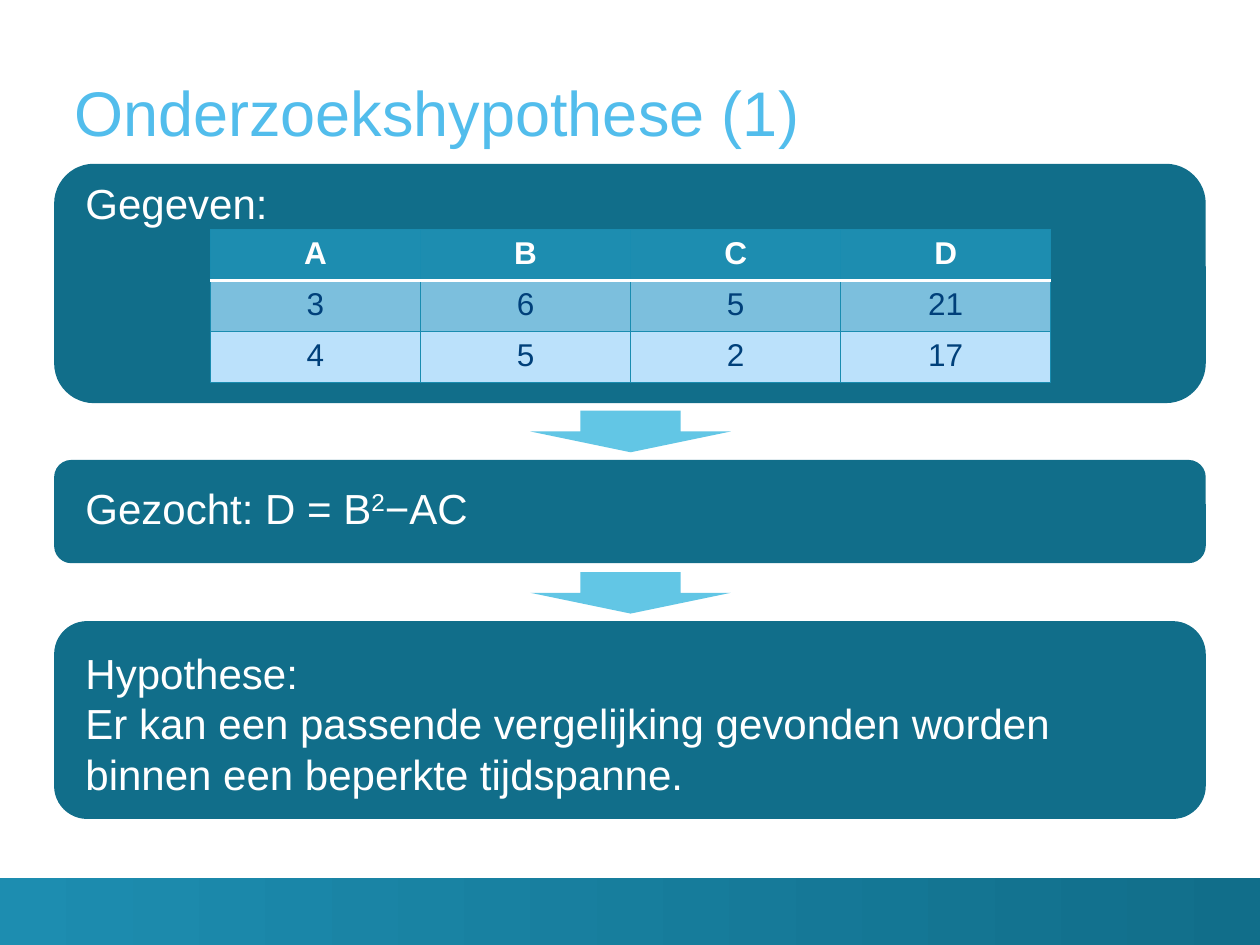
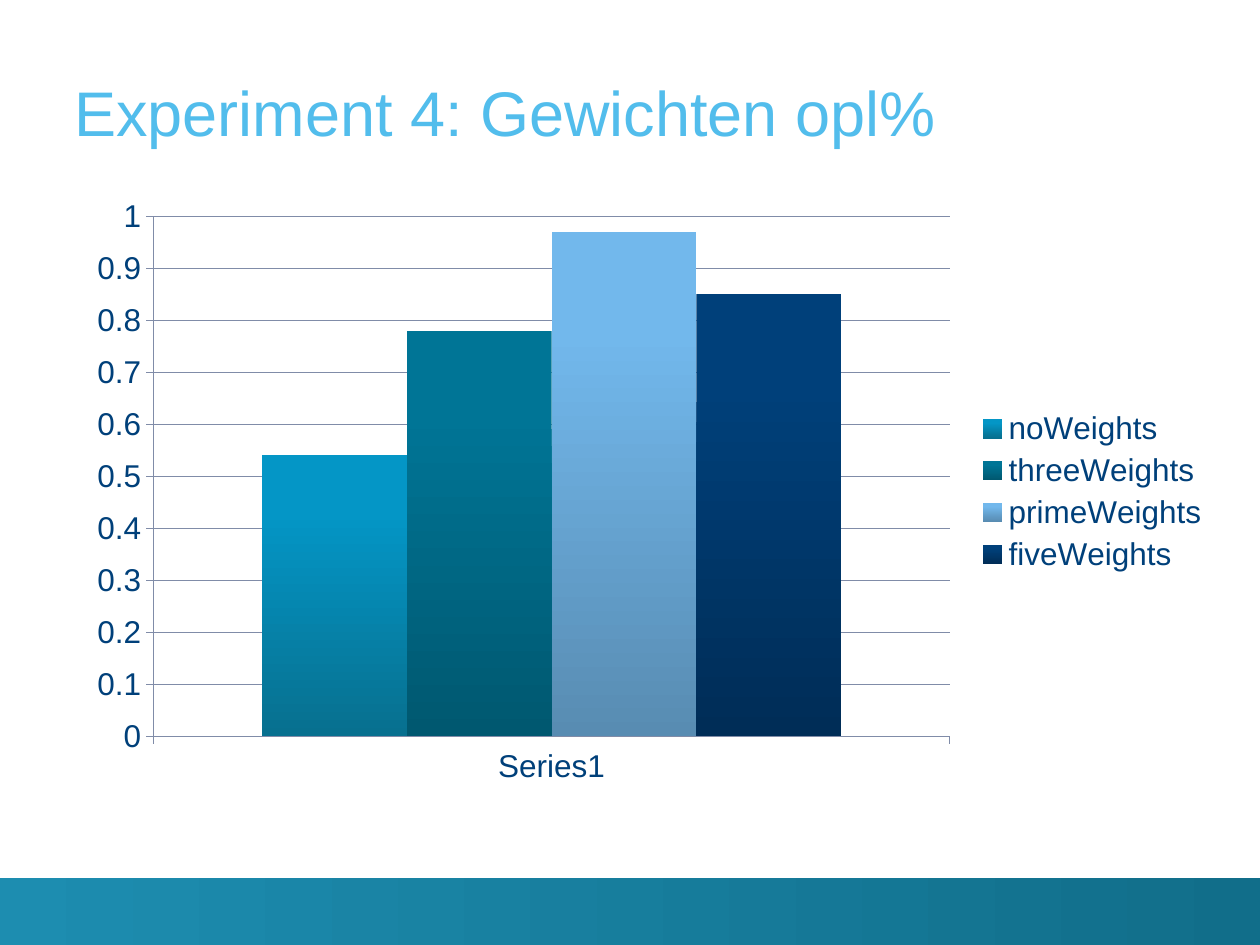
from lxml import etree
from pptx import Presentation
from pptx.chart.data import CategoryChartData
from pptx.dml.color import RGBColor
from pptx.enum.chart import XL_CHART_TYPE, XL_LEGEND_POSITION, XL_TICK_MARK
from pptx.enum.shapes import MSO_SHAPE
from pptx.enum.text import MSO_ANCHOR, PP_ALIGN
from pptx.oxml.ns import qn
from pptx.util import Inches, Pt

COLUMNS = XL_CHART_TYPE.COLUMN_CLUSTERED
LEGEND_RIGHT = XL_LEGEND_POSITION.RIGHT
TICK_OUT, TICK_NONE = XL_TICK_MARK.OUTSIDE, XL_TICK_MARK.NONE
RECTANGLE, ROUNDED = MSO_SHAPE.RECTANGLE, MSO_SHAPE.ROUNDED_RECTANGLE
DOWN_ARROW = MSO_SHAPE.DOWN_ARROW
BOTTOM = MSO_ANCHOR.BOTTOM
LEFT, CENTER = PP_ALIGN.LEFT, PP_ALIGN.CENTER

FONT = "Arial"
TITLE_ONLY = 5
COLORS = {
    "title": "52BDEC",
    "panel": "116E8A",
    "header": "1D8DB0",
    "arrow": "62C6E5",
    "row_dark": "7CBFDD",
    "row_light": "BBE1FB",
    "border": "198CB0",
    "grid": "808CA8",
    "ink": "00407A",
    "white": "FFFFFF",
}


def rgb(name):
    return RGBColor.from_string(COLORS.get(name, name))


def write(frame, text, size=24, color="white", bold=False, align=LEFT):
    for number, line in enumerate(text.split("\n")):
        paragraph = frame.add_paragraph() if number else frame.paragraphs[0]
        paragraph.alignment = align
        for part, piece in enumerate(line.split("^")):
            run = paragraph.add_run()
            run.text = piece
            run.font.name, run.font.size, run.font.bold = FONT, Pt(size), bold
            run.font.color.rgb = rgb(color)
            if part % 2:
                run.font._element.set("baseline", "30000")


def shade(fill, start, end, angle, start_at=0):
    fill.gradient()
    fill.gradient_angle = angle
    for stop, color, position in zip(fill.gradient_stops, (start, end), (start_at, 1)):
        stop.color.rgb = rgb(color)
        stop.position = position


def set_borders(cell, **sides):
    properties = cell._tc.get_or_add_tcPr()
    for index, side in enumerate(("L", "R", "T", "B")):
        color, width = sides.get(side, ("border", 0.75))
        line = etree.Element(qn(f"a:ln{side}"), w=str(Pt(width)))
        solid = etree.SubElement(line, qn("a:solidFill"))
        etree.SubElement(solid, qn("a:srgbClr"), val=COLORS[color])
        properties.insert(index, line)


class Deck:
    def __init__(self):
        self.presentation = Presentation()
        self.presentation.slide_width = Inches(10)
        self.presentation.slide_height = Inches(7.5)
        self.slide = None

    def new_slide(self, heading):
        layout = self.presentation.slide_layouts[TITLE_ONLY]
        self.slide = self.presentation.slides.add_slide(layout)
        title = self.slide.shapes.title
        title.left, title.top = Inches(0.59), Inches(0.2)
        title.width, title.height = Inches(9.11), Inches(0.98)
        frame = title.text_frame
        frame.margin_left = frame.margin_right = 0
        frame.margin_top = frame.margin_bottom = 0
        frame.vertical_anchor = BOTTOM
        write(frame, heading, size=36, color="title")
        band = self.shape(RECTANGLE, 0, 6.97, 10, 0.53, "header")
        shade(band.fill, "header", "panel", 0)

    def shape(self, kind, left, top, width, height, color):
        shape = self.slide.shapes.add_shape(
            kind, Inches(left), Inches(top), Inches(width), Inches(height))
        shape.shadow.inherit = False
        shape.fill.solid()
        shape.fill.fore_color.rgb = rgb(color)
        shape.line.fill.background()
        return shape

    def panel(self, top, height):
        self.shape(ROUNDED, 0.43, top, 9.14, height, "panel")

    def arrow(self, top):
        self.shape(DOWN_ARROW, 4.21, top, 1.59, 0.33, "arrow")

    def text(self, text, top, height):
        box = self.slide.shapes.add_textbox(
            Inches(0.58), Inches(top), Inches(8.82), Inches(height))
        box.text_frame.word_wrap = True
        write(box.text_frame, text)

    def table(self, rows, left, top, width, height):
        table = self.slide.shapes.add_table(
            len(rows), len(rows[0]), Inches(left), Inches(top),
            Inches(width), Inches(height)).table
        table.horz_banding = False
        fills = ("header", "row_dark", "row_light")
        rule = ("white", 2)
        borders = ({"B": rule}, {"T": rule}, {})
        for row, values in enumerate(rows):
            for column, value in enumerate(values):
                cell = table.cell(row, column)
                cell.fill.solid()
                cell.fill.fore_color.rgb = rgb(fills[row])
                set_borders(cell, **borders[row])
                write(cell.text_frame, value, size=18, bold=row == 0,
                      color="ink" if row else "white", align=CENTER)

    def column_chart(self, category, series, left, top, width, height):
        data = CategoryChartData()
        data.categories = [category]
        for name, value, _, _ in series:
            data.add_series(name, [value])
        chart = self.slide.shapes.add_chart(
            COLUMNS, Inches(left), Inches(top), Inches(width), Inches(height),
            data).chart
        chart.has_title = False
        chart.font.name, chart.font.size = FONT, Pt(18)
        chart.font.color.rgb = rgb("ink")
        chart.has_legend = True
        chart.legend.position = LEGEND_RIGHT
        chart.legend.include_in_layout = False
        plot = chart.plots[0]
        plot.vary_by_categories = False
        plot.gap_width, plot.overlap = 150, 0
        for bar, (_, _, light, dark) in zip(plot.series, series):
            shade(bar.format.fill, light, dark, 270, start_at=0.2)
        scale = chart.value_axis
        scale.minimum_scale, scale.maximum_scale, scale.major_unit = 0, 1, 0.1
        scale.tick_labels.number_format = "General"
        scale.tick_labels.number_format_is_linked = False
        scale.has_major_gridlines = True
        for axis in (scale, chart.category_axis):
            axis.major_tick_mark, axis.minor_tick_mark = TICK_OUT, TICK_NONE
        for part in (scale, chart.category_axis, scale.major_gridlines):
            part.format.line.color.rgb = rgb("grid")
            part.format.line.width = Pt(0.75)


def hypothesis_slide(deck):
    deck.new_slide("Onderzoekshypothese (1)")
    deck.panel(1.3, 1.9)
    deck.table([["A", "B", "C", "D"], ["3", "6", "5", "21"], ["4", "5", "2", "17"]],
               1.67, 1.82, 6.67, 1.22)
    deck.text("Gegeven:", 1.36, 0.5)
    deck.arrow(3.26)
    deck.panel(3.65, 0.82)
    deck.text("Gezocht: D = B^2^−AC", 3.78, 0.5)
    deck.arrow(4.54)
    deck.panel(4.93, 1.57)
    deck.text("Hypothese:\nEr kan een passende vergelijking gevonden worden "
              "binnen een beperkte tijdspanne.", 5.09, 1.31)


def weights_slide(deck):
    deck.new_slide("Experiment 4: Gewichten opl%")
    weights = [
        ("noWeights", 0.54, "0496C6", "07708F"),
        ("threeWeights", 0.78, "007596", "005870"),
        ("primeWeights", 0.97, "72B8EC", "588CB2"),
        ("fiveWeights", 0.85, "00407A", "002D57"),
    ]
    deck.column_chart("Series1", weights, 0.59, 1.48, 9.11, 4.84)


def main():
    deck = Deck()
    hypothesis_slide(deck)
    weights_slide(deck)
    deck.presentation.save("out.pptx")


if __name__ == "__main__":
    main()
